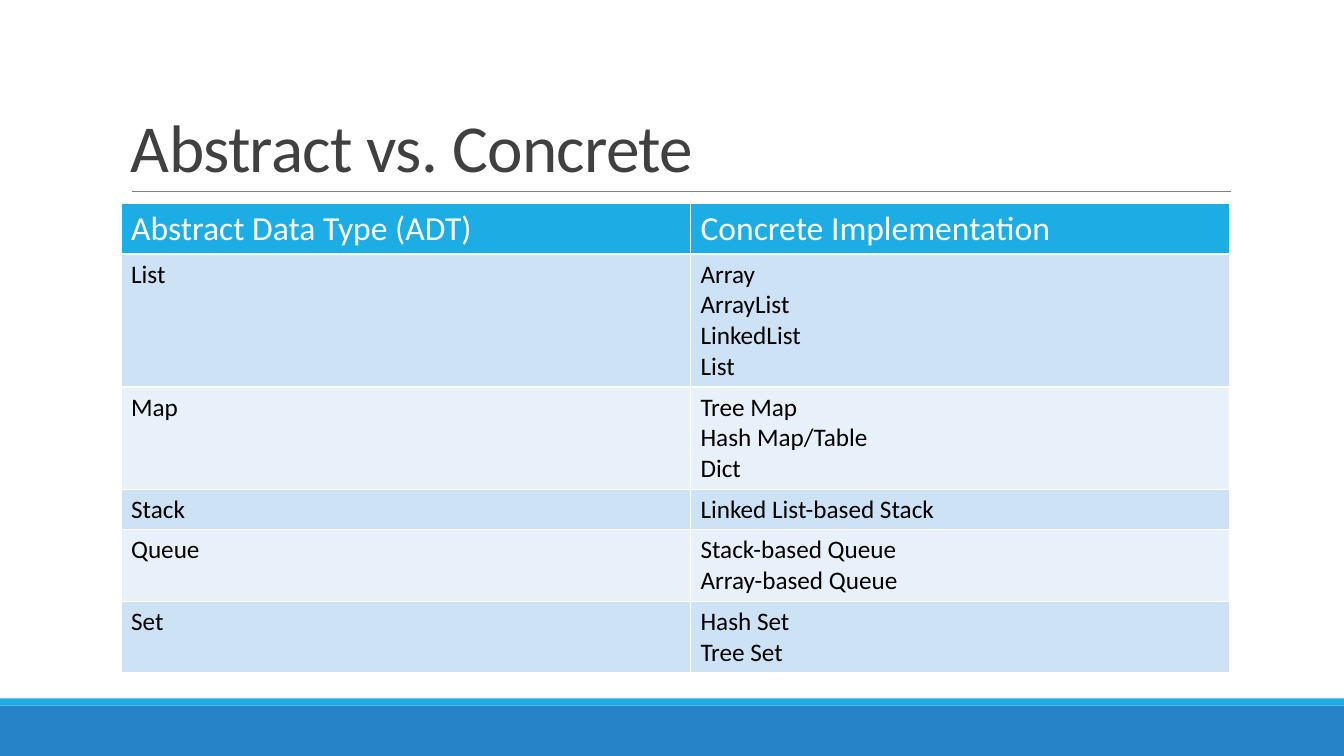
from lxml import etree
from pptx import Presentation
from pptx.dml.color import RGBColor as RGB
from pptx.enum.shapes import MSO_CONNECTOR as CONN, MSO_SHAPE as SHAPE
from pptx.enum.text import MSO_ANCHOR as ANCHOR
from pptx.oxml.ns import qn
from pptx.util import Cm, Pt


def paint(fmt, color):
    fmt.solid()
    fmt.fore_color.rgb = RGB.from_string(color)


def add_run(p, text, size, color):
    r = p.add_run()
    r.text = text
    r.font.name = "Calibri"
    r.font.size = Pt(size)
    r.font.bold = False
    paint(r.font.fill, color)
    return r


prs = Presentation()
prs.slide_width, prs.slide_height = Cm(33.87), Cm(19.05)
s = prs.slides.add_slide(prs.slide_layouts[6])

for top, height, color in [(17.78, 1.27, "2683C6"), (17.6, 0.18, "1CADE4")]:
    sp = s.shapes.add_shape(SHAPE.RECTANGLE, 0, Cm(top), prs.slide_width, Cm(height))
    sp.shadow.inherit = False
    paint(sp.fill, color)
    sp.line.fill.background()

rule = s.shapes.add_connector(CONN.STRAIGHT, Cm(3.32), Cm(4.83), Cm(31.01), Cm(4.83))
paint(rule.line.fill, "808080")
rule.line.width = Pt(0.5)
etree.SubElement(rule._element.spPr, qn("a:effectLst"))

title = s.shapes.add_textbox(Cm(3.05), Cm(0.79), Cm(27.94), Cm(4.04))
tf = title.text_frame
tf.word_wrap = True
tf.vertical_anchor = ANCHOR.BOTTOM
p = tf.paragraphs[0]
p.line_spacing = 0.85
r = add_run(p, "Abstract vs. Concrete", 48, "404040")
r.font._element.set("spc", "-50")

rows = [
    ("Abstract Data Type (ADT)", ["Concrete Implementation"]),
    ("List", ["Array", "ArrayList", "LinkedList", "List"]),
    ("Map", ["Tree Map", "Hash Map/Table", "Dict"]),
    ("Stack", ["Linked List-based Stack"]),
    ("Queue", ["Stack-based Queue", "Array-based Queue"]),
    ("Set", ["Hash Set", "Tree Set"]),
]
heights = [1.27] + [0.25 + 0.775 * len(items) for _, items in rows[1:]]
table = s.shapes.add_table(
    len(rows), 2, Cm(3.05), Cm(5.13), Cm(27.94), Cm(sum(heights))
).table
for col, width in zip(table.columns, (14.35, 13.59)):
    col.width = Cm(width)

for i, (adt, items) in enumerate(rows):
    table.rows[i].height = Cm(heights[i])
    if i == 0:
        fill, size, color = "1CADE4", 24, "FFFFFF"
    else:
        fill, size, color = "CDE3F5" if i % 2 else "E8F1FA", 18, "000000"
    for j, lines in enumerate([[adt], items]):
        cell = table.cell(i, j)
        tf = cell.text_frame
        for n, text in enumerate(lines):
            p = tf.add_paragraph() if n else tf.paragraphs[0]
            add_run(p, text, size, color)
        tcPr = cell._tc.get_or_add_tcPr()
        for side in ("lnL", "lnR", "lnT", "lnB"):
            ln = etree.SubElement(tcPr, qn(f"a:{side}"), w=str(Pt(1)))
            edge = etree.SubElement(ln, qn("a:solidFill"))
            etree.SubElement(edge, qn("a:srgbClr"), val="FFFFFF")
        paint(cell.fill, fill)

prs.save("out.pptx")
